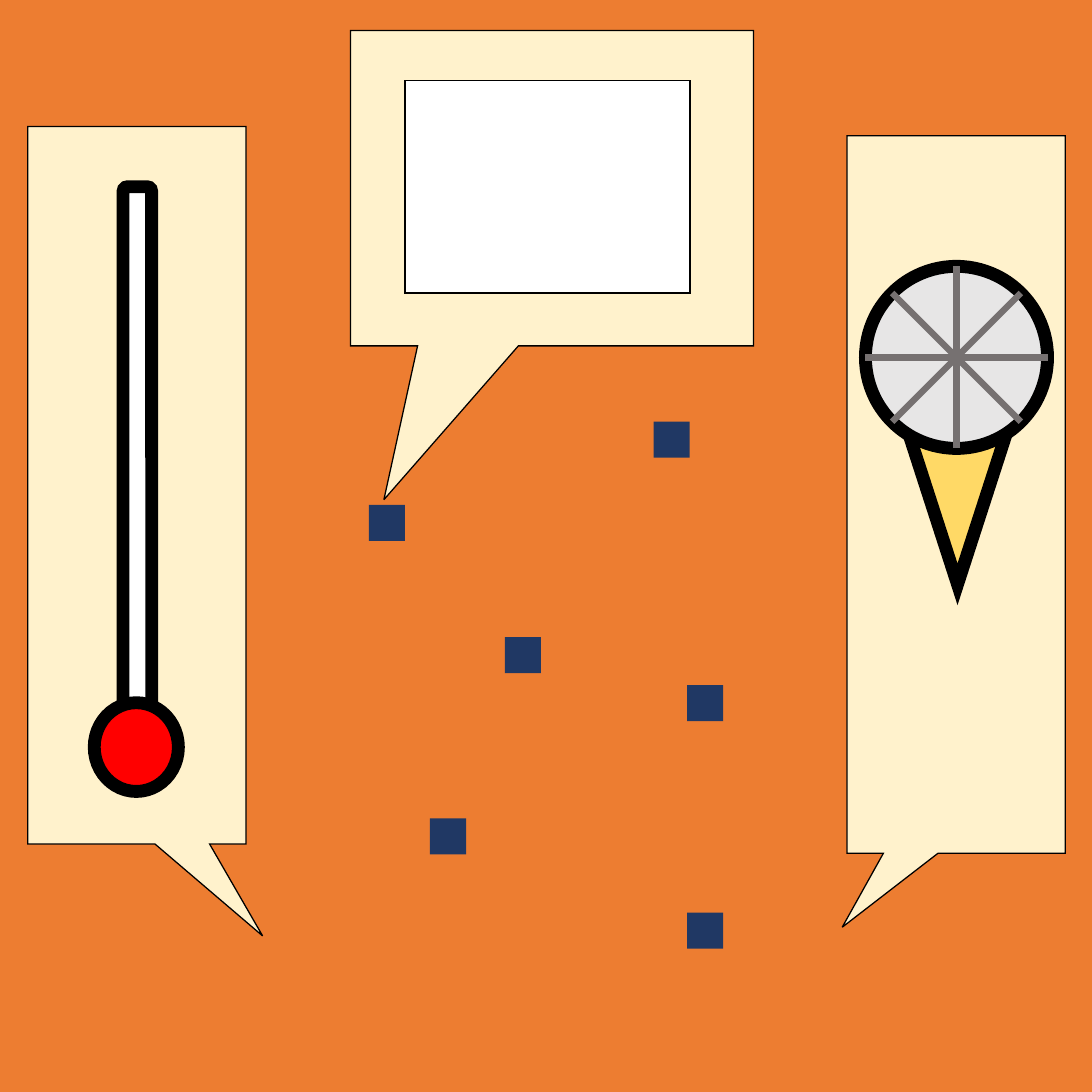
from math import cos, pi, sin

from lxml import etree
from pptx import Presentation
from pptx.dml.color import RGBColor
from pptx.enum.shapes import MSO_CONNECTOR, MSO_SHAPE
from pptx.oxml.ns import qn
from pptx.util import Pt

THEME = {
    "orange": "ED7D31", "navy": "203864", "cream": "FFF2CC", "white": "FFFFFF",
    "red": "FF0000", "wafer": "FFD966", "ice": "E7E6E6", "spoke": "767171",
    "outline": "000000", "thin": 1, "medium": 5, "thick": 10,
}
SIDE = 850.32
MARKER = 28.1
MARKERS = [(287.3, 393.1), (393.1, 496.1), (334.8, 637.2),
           (535, 533.5), (509, 328.3), (535, 710.6)]
PANEL = (170, 558.7)
SCOOP_CENTER = (744.8, 278.3)
SCOOP_RADIUS = 70.9
SPOKES = 4

THERMOMETER = [
    (MSO_SHAPE.RECTANGULAR_CALLOUT, (21.6, 98.6, *PANEL), "cream", "thin", (0.576, 0.628)),
    (MSO_SHAPE.ROUNDED_RECTANGLE, (95.8, 145.4, 22.3, 436.3), "white", "thick", ()),
    (MSO_SHAPE.OVAL, (73.4, 547.2, 65.5, 69.1), "red", "thick", ()),
]
ICE_CREAM_PANEL = (MSO_SHAPE.RECTANGULAR_CALLOUT, (659.5, 105.8, *PANEL),
                   "cream", "thin", (-0.522, 0.603))
CONE = (MSO_SHAPE.ISOSCELES_TRIANGLE, (686.9, 273.6, 117.4, 181.4), "wafer", "thick", ())
SCOOP = (MSO_SHAPE.OVAL,
         (*(c - SCOOP_RADIUS for c in SCOOP_CENTER), 2 * SCOOP_RADIUS, 2 * SCOOP_RADIUS),
         "ice", "thick", ())
SCREEN = [
    (MSO_SHAPE.RECTANGULAR_CALLOUT, (272.9, 23.8, 313.9, 245.5), "cream", "thin",
     (-0.417, 0.988)),
    (MSO_SHAPE.RECTANGLE, (315.4, 62.6, 221.8, 165.6), "white", "thin", ()),
]

prs = Presentation()
prs.slide_width = prs.slide_height = Pt(SIDE)
slide = prs.slides.add_slide(prs.slide_layouts[6])


def color(name):
    return RGBColor.from_string(THEME[name])


def set_line(line, name, width):
    line.color.rgb = color(name)
    line.width = Pt(THEME[width])


def add_part(preset, box, fill, width=None, adjustments=()):
    shape = slide.shapes.add_shape(preset, *map(Pt, box))
    shape.shadow.inherit = False
    shape.fill.solid()
    shape.fill.fore_color.rgb = color(fill)
    for i, value in enumerate(adjustments):
        shape.adjustments[i] = value
    if width:
        set_line(shape.line, "outline", width)
        outline = shape.element.spPr.find(qn("a:ln"))
        etree.SubElement(outline, qn("a:miter"), lim="800000")
    else:
        shape.line.fill.background()
    return shape


def add_spoke(angle):
    dx, dy = SCOOP_RADIUS * cos(angle), SCOOP_RADIUS * sin(angle)
    x, y = SCOOP_CENTER
    ends = (x - dx, y - dy, x + dx, y + dy)
    spoke = slide.shapes.add_connector(MSO_CONNECTOR.STRAIGHT, *map(Pt, ends))
    set_line(spoke.line, "spoke", "medium")
    etree.SubElement(spoke.element.spPr, qn("a:effectLst"))


add_part(MSO_SHAPE.RECTANGLE, (0, 0, SIDE, SIDE), "orange")
for left, top in MARKERS:
    add_part(MSO_SHAPE.RECTANGLE, (left, top, MARKER, MARKER), "navy")
for part in THERMOMETER:
    add_part(*part)
add_part(*ICE_CREAM_PANEL)
add_part(*CONE).rotation = 180
add_part(*SCOOP)
for step in range(SPOKES):
    add_spoke(step * pi / SPOKES)
for part in SCREEN:
    add_part(*part)

prs.save("out.pptx")
